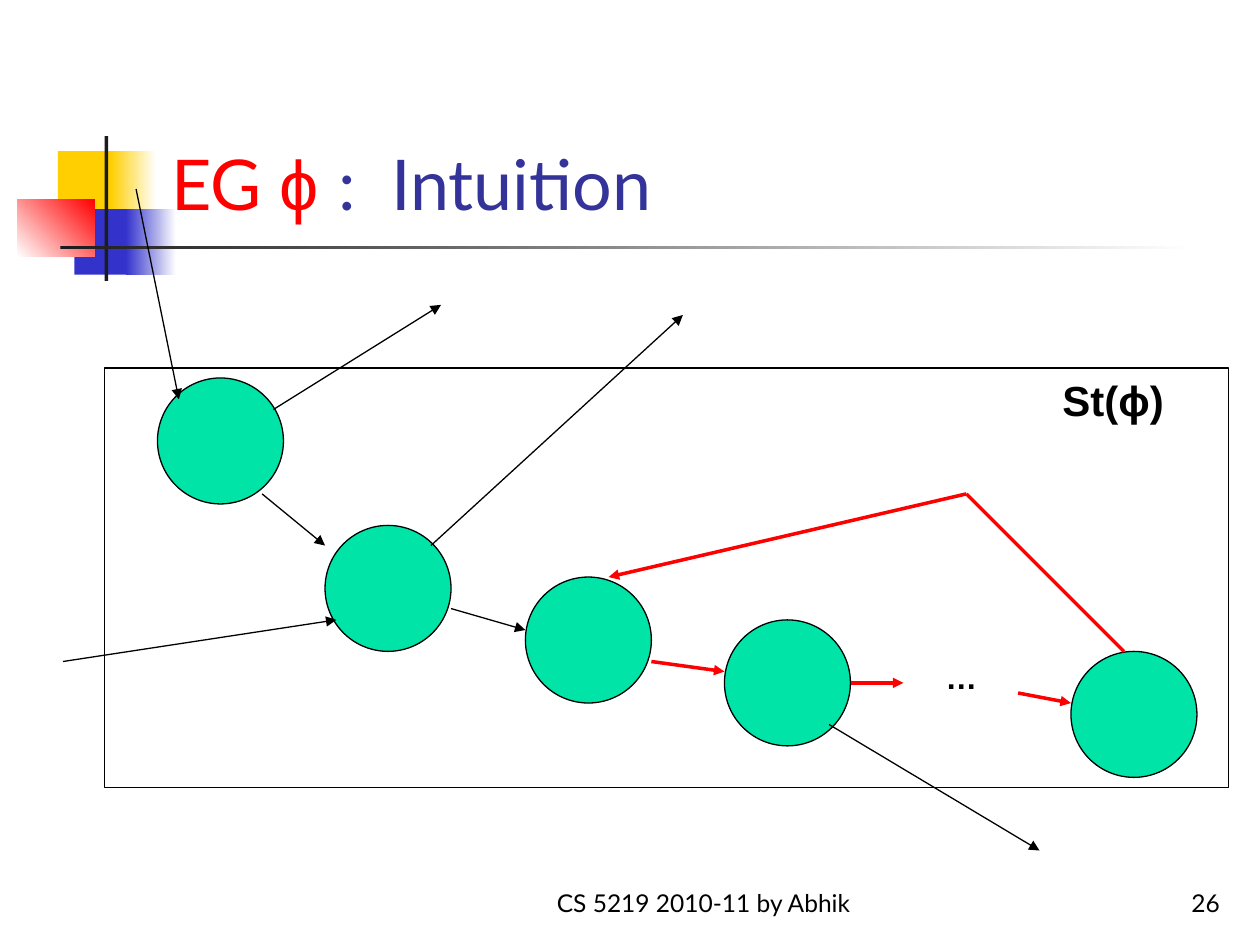
import dataclasses
import typing

import pptx
import pptx.dml.color
import pptx.enum.shapes
import pptx.enum.text
import pptx.oxml
import pptx.oxml.ns
import pptx.util

Inches = pptx.util.Inches
Pt = pptx.util.Pt
Kind = pptx.enum.shapes.MSO_SHAPE
Align = pptx.enum.text.PP_ALIGN
Anchor = pptx.enum.text.MSO_ANCHOR


def color(code):
    return pptx.dml.color.RGBColor.from_string(code)


def write(para, text, font="Arial", size=18, ink="000000", bold=False):
    run = para.add_run()
    run.text = text
    run.font.name = font
    run.font.size = Pt(size)
    run.font.bold = bold
    run.font.color.rgb = color(ink)


def add_node(parent, tag, **attrs):
    node = pptx.oxml.ns.qn(tag)
    child = parent.makeelement(node, attrs)
    parent.append(child)


@dataclasses.dataclass
class Pen:
    slide: typing.Any
    black: str = "000000"
    red: str = "FF0000"
    blue: str = "333399"
    green: str = "00E4A8"
    thin: float = 0.75
    thick: float = 2

    def shape(self, kind, box, fill=None, fade=None, line=None, angle=0):
        item = self.slide.shapes.add_shape(kind, *map(Inches, box))
        item.shadow.inherit = False
        if fade:
            item.fill.gradient()
            item.fill.gradient_angle = angle
            for stop, code in zip(item.fill.gradient_stops, fade):
                stop.color.rgb = color(code)
        elif fill:
            item.fill.solid()
            item.fill.fore_color.rgb = color(fill)
        else:
            item.fill.background()
        if line:
            item.line.color.rgb = color(line)
            item.line.width = Pt(self.thin)
        else:
            item.line.fill.background()

    def state(self, left, top):
        self.shape(Kind.OVAL, (left, top, 1, 1), fill=self.green, line=self.black)

    def arrow(self, start, end, ink=None, width=None, head=True):
        straight = pptx.enum.shapes.MSO_CONNECTOR.STRAIGHT
        item = self.slide.shapes.add_connector(straight, *map(Inches, start + end))
        item.line.color.rgb = color(ink or self.black)
        item.line.width = Pt(width or self.thin)
        if head:
            add_node(item.line._get_or_add_ln(), "a:tailEnd", type="triangle")
        add_node(item._element.spPr, "a:effectLst")

    def text(self, box, runs, align=Align.CENTER, anchor=Anchor.TOP, before=0):
        frame = self.slide.shapes.add_textbox(*map(Inches, box)).text_frame
        frame.word_wrap = True
        frame.vertical_anchor = anchor
        para = frame.paragraphs[0]
        para.alignment = align
        para.space_before = Pt(before)
        for words, style in runs:
            write(para, words, **style)


def main():
    deck = pptx.Presentation()
    deck.slide_width = Inches(10)
    deck.slide_height = Inches(7.5)
    pen = Pen(deck.slides.add_slide(deck.slide_layouts[6]))

    gold, navy, dark, white = "FFCF01", "3333CC", "1C1C1C", "FFFFFF"
    for box, look in (
        ((0.46, 1.2, 0.48, 0.52), {"fill": gold}),
        ((0.88, 1.2, 0.36, 0.52), {"fade": (gold, white)}),
        ((0.59, 1.66, 0.46, 0.52), {"fill": navy}),
        ((1, 1.66, 0.4, 0.52), {"fade": (navy, white)}),
        ((0.14, 1.58, 0.61, 0.46), {"fade": (white, pen.red), "angle": 45}),
        ((0.83, 1.08, 0.03, 1.15), {"fill": dark}),
        ((0.48, 1.95, 9, 0.03), {"fade": (dark, white)}),
    ):
        pen.shape(Kind.RECTANGLE, box, **look)

    small = {"font": "Lato", "size": 14}
    pen.text((4, 6.83, 3.17, 0.5), [("CS 5219 2010-11 by Abhik", small)],
             anchor=Anchor.BOTTOM)
    pen.text((7.7, 6.83, 2.08, 0.5), [("26", small)],
             align=Align.RIGHT, anchor=Anchor.BOTTOM)

    title = (
        ("EG ", {"font": "Lato", "size": 40, "ink": pen.red}),
        ("ϕ ", {"size": 40, "ink": pen.red}),
        (":  Intuition", {"font": "Lato", "size": 40, "ink": pen.blue}),
    )
    pen.text((1.26, 0.23, 8.52, 1.6), title, align=Align.LEFT, anchor=Anchor.BOTTOM)

    for spot in ((1.25, 3), (2.58, 4.17), (4.17, 4.58), (5.75, 4.92), (8.5, 5.17)):
        pen.state(*spot)

    bend = (7.67, 3.92)
    for start, end in (
        ((6.75, 5.42), (7.17, 5.42)),
        ((8.08, 5.5), (8.5, 5.58)),
        ((8.92, 5.17), bend),
        (bend, (4.83, 4.58)),
        ((5.17, 5.25), (5.75, 5.33)),
    ):
        pen.arrow(start, end, ink=pen.red, width=pen.thick, head=end != bend)

    pen.text((7.17, 5.17, 0.92, 0.4), [("…", {"bold": True})], before=11.2)
    pen.shape(Kind.RECTANGLE, (0.83, 2.92, 8.92, 3.33), line=pen.black)

    for start, end in (
        ((3.58, 4.83), (4.17, 5)),
        ((2.08, 3.92), (2.58, 4.33)),
        ((2.17, 3.25), (3.5, 2.42)),
        ((1.08, 1.5), (1.42, 3.17)),
        ((3.42, 4.33), (5.42, 2.5)),
        ((6.58, 5.75), (8.25, 6.75)),
        ((0.5, 5.25), (2.67, 4.92)),
    ):
        pen.arrow(start, end)

    pen.text((8, 2.92, 1.67, 0.5), [("St(ϕ)", {"size": 24, "bold": True})], before=15)
    deck.save("out.pptx")


if __name__ == "__main__":
    main()
